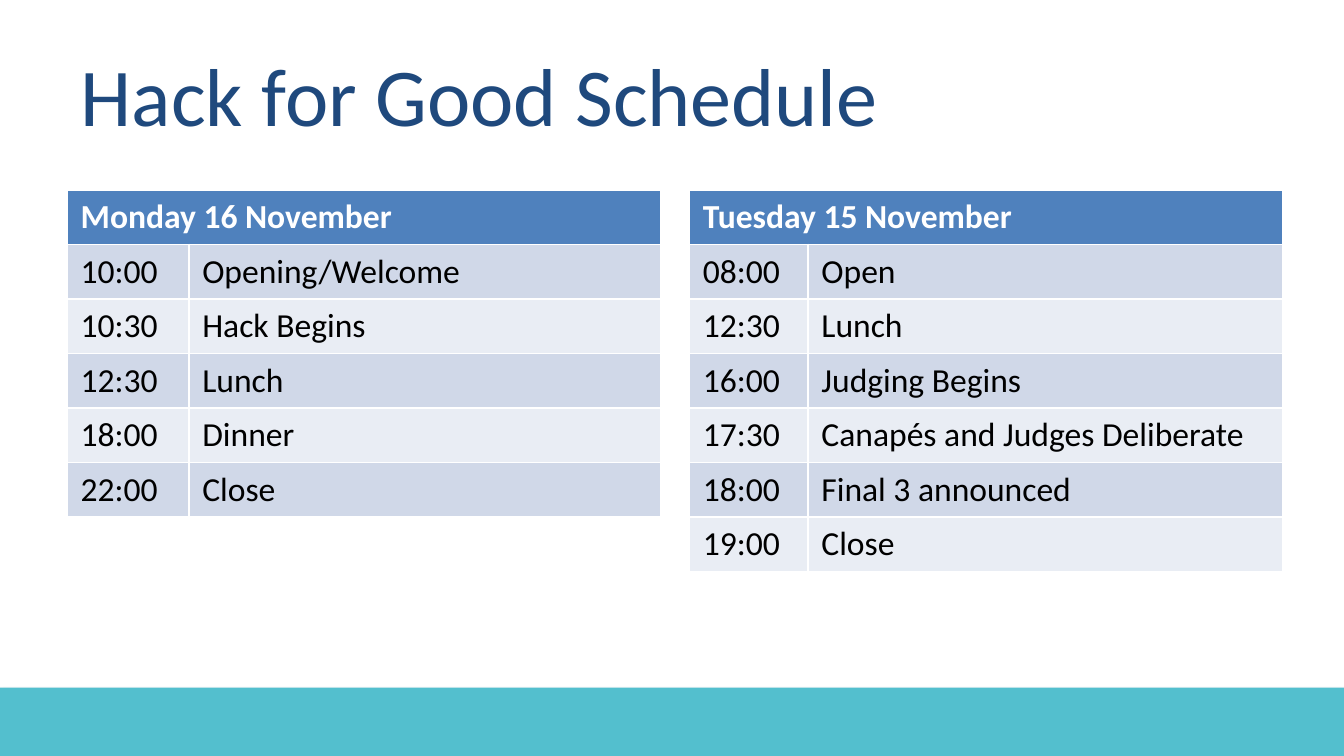
from dataclasses import dataclass

from lxml import etree
from pptx import Presentation
from pptx.dml.color import RGBColor
from pptx.enum.shapes import MSO_SHAPE
from pptx.enum.text import MSO_ANCHOR, PP_ALIGN
from pptx.oxml.ns import qn
from pptx.util import Cm, Pt

RECTANGLE = MSO_SHAPE.RECTANGLE
MIDDLE = MSO_ANCHOR.MIDDLE
LEFT = PP_ALIGN.LEFT
TITLE_ONLY = 5


@dataclass(frozen=True)
class Theme:
    font: str = "Calibri"
    title_size: int = 44
    table_size: int = 18
    title: str = "1F497D"
    footer: str = "53BFCE"
    header: str = "4F81BD"
    header_text: str = "FFFFFF"
    body_text: str = "000000"
    bands: tuple = ("D0D8E8", "E9EDF4")
    shadow: str = "000000"


THEME = Theme()
PAGE_WIDTH, PAGE_HEIGHT = Cm(25.4), Cm(14.29)
FOOTER_HEIGHT = Cm(1.29)
TABLE_TOP, TABLE_WIDTH, ROW_HEIGHT = Cm(3.59), Cm(11.22), Cm(1.03)

MONDAY = [
    ("10:00", "Opening/Welcome"),
    ("10:30", "Hack Begins"),
    ("12:30", "Lunch"),
    ("18:00", "Dinner"),
    ("22:00", "Close"),
]
TUESDAY = [
    ("08:00", "Open"),
    ("12:30", "Lunch"),
    ("16:00", "Judging Begins"),
    ("17:30", "Canapés and Judges Deliberate"),
    ("18:00", "Final 3 announced"),
    ("19:00", "Close"),
]


def add_span(para, text, size, color, bold=False):
    span = para.add_run()
    span.text = text
    span.font.name = THEME.font
    span.font.size = Pt(size)
    span.font.bold = bold
    span.font.color.rgb = RGBColor.from_string(color)


def add_soft_shadow(shape):
    """Give the shape a faint shadow that falls straight down."""
    effects = etree.SubElement(shape._element.spPr, qn("a:effectLst"))
    shadow = etree.SubElement(
        effects, qn("a:outerShdw"), blurRad=str(Pt(3.1)), dist=str(Pt(1.8)),
        dir="5400000", rotWithShape="0")
    color = etree.SubElement(shadow, qn("a:srgbClr"), val=THEME.shadow)
    etree.SubElement(color, qn("a:alpha"), val="35000")


def add_footer_bar(page):
    bar = page.shapes.add_shape(
        RECTANGLE, 0, PAGE_HEIGHT - FOOTER_HEIGHT, PAGE_WIDTH, FOOTER_HEIGHT)
    bar.fill.solid()
    bar.fill.fore_color.rgb = RGBColor.from_string(THEME.footer)
    bar.line.fill.background()
    add_soft_shadow(bar)


def set_title(page, text):
    title = page.shapes.title
    title.left, title.top = Cm(1.27), Cm(0.58)
    title.width, title.height = Cm(22.86), Cm(2.39)
    title.text_frame.vertical_anchor = MIDDLE
    para = title.text_frame.paragraphs[0]
    para.alignment = LEFT
    add_span(para, text, THEME.title_size, THEME.title)


def fill_cell(cell, text, fill, color, bold=False):
    cell.fill.solid()
    cell.fill.fore_color.rgb = RGBColor.from_string(fill)
    add_span(cell.text_frame.paragraphs[0], text, THEME.table_size, color, bold)


def add_schedule(page, left, time_width, day, events):
    """Add a day's table; the default table style supplies its white rules."""
    row_count = len(events) + 1
    table = page.shapes.add_table(
        row_count, 2, left, TABLE_TOP, TABLE_WIDTH, ROW_HEIGHT * row_count).table
    table.columns[0].width = time_width
    table.columns[1].width = TABLE_WIDTH - time_width

    header = table.cell(0, 0)
    header.merge(table.cell(0, 1))
    fill_cell(header, day, THEME.header, THEME.header_text, bold=True)
    for row, event in enumerate(events, start=1):
        band = THEME.bands[(row - 1) % 2]
        for column, text in enumerate(event):
            fill_cell(table.cell(row, column), text, band, THEME.body_text)


def main():
    deck = Presentation()
    deck.slide_width, deck.slide_height = PAGE_WIDTH, PAGE_HEIGHT
    page = deck.slides.add_slide(deck.slide_layouts[TITLE_ONLY])
    add_footer_bar(page)
    set_title(page, "Hack for Good Schedule")
    add_schedule(page, Cm(1.27), Cm(2.3), "Monday 16 November", MONDAY)
    add_schedule(page, Cm(13.03), Cm(2.24), "Tuesday 15 November", TUESDAY)
    deck.save("out.pptx")


if __name__ == "__main__":
    main()
